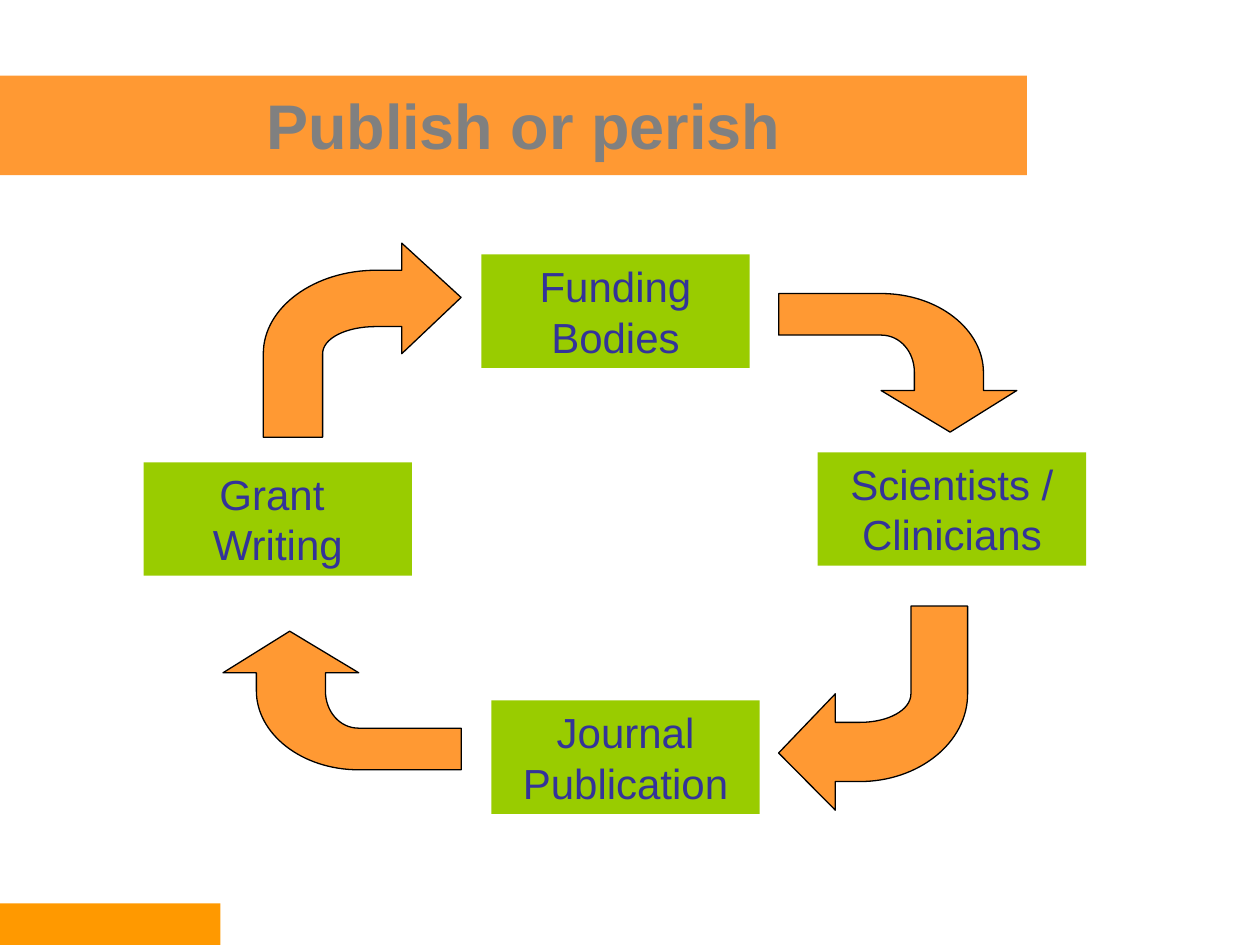
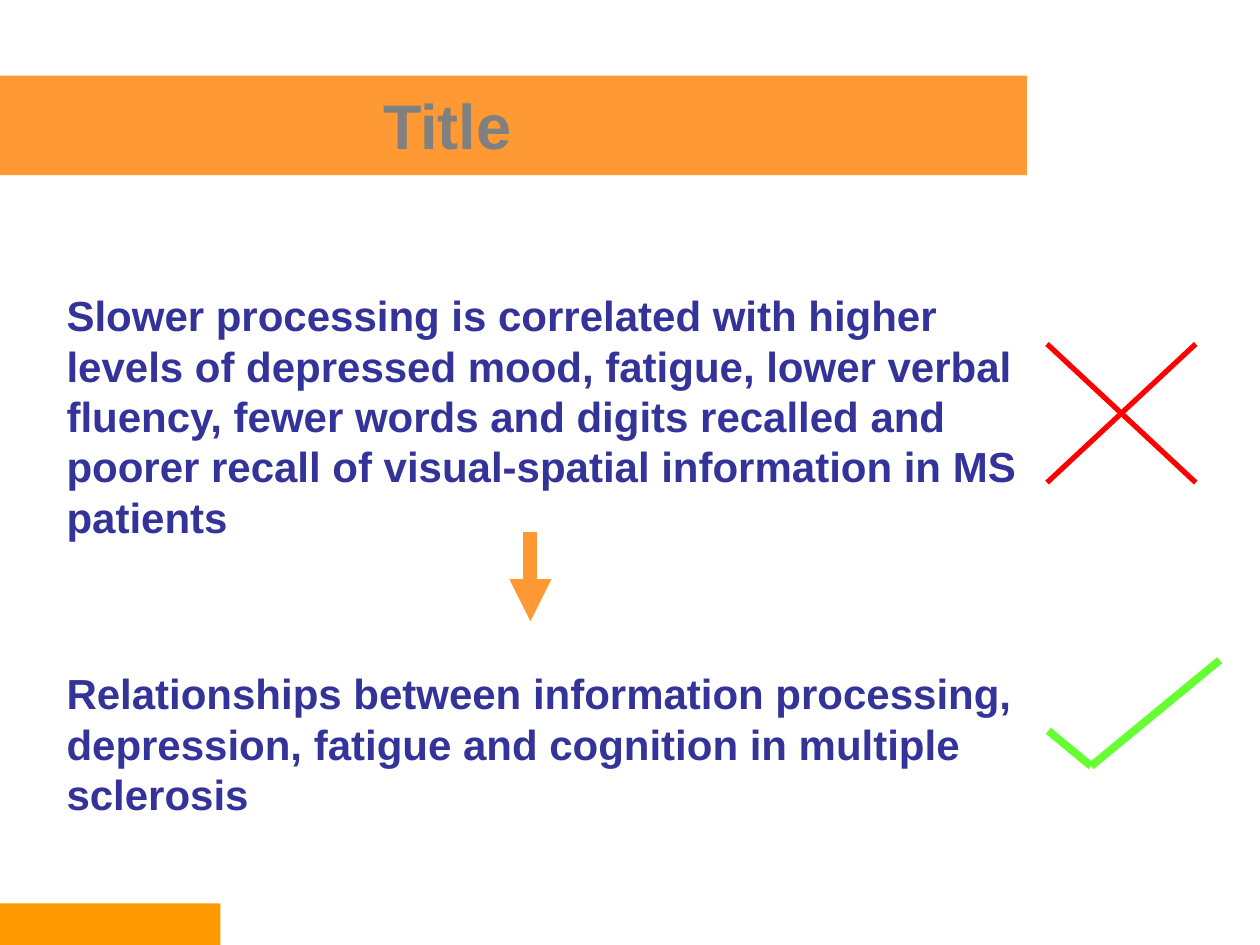
from lxml import etree
from pptx import Presentation
from pptx.dml.color import RGBColor
from pptx.enum.shapes import MSO_CONNECTOR, MSO_SHAPE
from pptx.enum.text import MSO_ANCHOR, PP_ALIGN
from pptx.oxml.ns import qn
from pptx.util import Inches, Pt

STRAIGHT = MSO_CONNECTOR.STRAIGHT
RECTANGLE = MSO_SHAPE.RECTANGLE
TOP, MIDDLE = MSO_ANCHOR.TOP, MSO_ANCHOR.MIDDLE
LEFT, CENTER = PP_ALIGN.LEFT, PP_ALIGN.CENTER

FONT = "Arial"
COLORS = {
    "band": "FF9933", "footer": "FF9900", "title": "808080", "text": "333399",
    "step": "99CC00", "outline": "000000", "cross": "FF0000", "tick": "66FF33",
}

STEP_SIZE = (2.13, 0.9)
STEPS = [
    ("Funding Bodies", 3.82, 2.02),
    ("Scientists / Clinicians", 6.49, 3.59),
    ("Grant \vWriting", 1.14, 3.67),
    ("Journal Publication", 3.9, 5.56),
]

CYCLE_ARROWS = [
    (6.18, 2.33, 1.89, 1.1, "down"),
    (1.77, 5.01, 1.89, 1.1, "up"),
    (6.18, 4.81, 1.5, 1.62, "left"),
    (2.09, 1.93, 1.57, 1.54, "right"),
]
HEAD = [(0.3, 0.57), (0, 0.28), (0.3, 0), (0.3, 0.14), (0.43, 0.14)]
OUTER_BEND = [(0.74, 0.14), (1, 0.33), (1, 0.57)]
TAIL = [(1, 1), (0.7, 1), (0.7, 0.57)]
INNER_BEND = [(0.7, 0.49), (0.58, 0.43), (0.43, 0.43)]
NECK = [(0.3, 0.43)]
BENT_OUTLINE = HEAD + OUTER_BEND + TAIL + INNER_BEND + NECK
BEND_STARTS = [BENT_OUTLINE.index(bend[0]) - 1 for bend in (OUTER_BEND, INNER_BEND)]
TURNS = {
    "left": lambda u, v: (u, 1 - v),
    "right": lambda u, v: (1 - u, v),
    "up": lambda u, v: (v, u),
    "down": lambda u, v: (1 - v, 1 - u),
}

STATEMENTS = [
    ("Relationships between information processing, depression, fatigue and "
     "cognition in multiple sclerosis",
     (0.43, 5.25, 8.74, 1.3)),
    ("Slower processing is correlated with higher levels of depressed mood, "
     "fatigue, lower verbal fluency, fewer words and digits recalled and "
     "poorer recall of visual-spatial information in MS patients",
     (0.43, 2.25, 7.95, 2.1)),
]

TICK = [((8.32, 5.8), (8.66, 6.08)), ((8.66, 6.08), (9.68, 5.24))]
CROSS = [((8.31, 2.73), (9.49, 3.83)), ((9.49, 2.73), (8.31, 3.83))]
MARKS = [(TICK, "tick", 4.5), (CROSS, "cross", 3)]
STEP_DOWN = ((4.21, 4.22), (4.21, 4.93), "band", 8)


def color(name):
    return RGBColor.from_string(COLORS[name])


def add_block(page, area, fill):
    block = page.shapes.add_shape(RECTANGLE, *map(Inches, area))
    block.shadow.inherit = False
    block.fill.solid()
    block.fill.fore_color.rgb = color(fill)
    block.line.fill.background()
    return block


def write(box, text, size, ink="text", bold=False, align=LEFT, anchor=TOP):
    frame = box.text_frame
    frame.word_wrap = True
    frame.vertical_anchor = anchor
    para = frame.paragraphs[0]
    para.text = text
    para.alignment = align
    for span in para.runs:
        span.font.name = FONT
        span.font.size = Pt(size)
        span.font.bold = bold
        span.font.color.rgb = color(ink)


def add_text(page, area, text, size, **style):
    write(page.shapes.add_textbox(*map(Inches, area)), text, size, **style)


def add_line(holder, start, end, ink, width):
    line = holder.shapes.add_connector(STRAIGHT, *map(Inches, start + end))
    line.line.color.rgb = color(ink)
    line.line.width = Pt(width)
    etree.SubElement(line._element.spPr, qn("a:effectLst"))
    return line


def curve_bends(arrow):
    segments = list(arrow._element.iter(qn("a:lnTo")))
    for start in BEND_STARTS:
        first, *others = segments[start:start + 3]
        curve = etree.Element(qn("a:cubicBezTo"))
        first.addprevious(curve)
        for segment in (first, *others):
            curve.append(segment[0])
            segment.getparent().remove(segment)


def add_bent_arrow(page, left, top, width, height, direction):
    placed = [TURNS[direction](u, v) for u, v in BENT_OUTLINE]
    points = [(Inches(left + x * width), Inches(top + y * height)) for x, y in placed]
    builder = page.shapes.build_freeform(*points[0])
    builder.add_line_segments(points[1:], close=True)
    arrow = builder.convert_to_shape()
    curve_bends(arrow)
    arrow.shadow.inherit = False
    arrow.fill.solid()
    arrow.fill.fore_color.rgb = color("band")
    arrow.line.color.rgb = color("outline")
    arrow.line.width = Pt(0.75)


def add_page(deck, title, title_width):
    page = deck.slides.add_slide(deck.slide_layouts[6])
    add_block(page, (0, 7.17, 1.75, 0.33), "footer")
    add_block(page, (0, 0.6, 8.15, 0.79), "band")
    add_text(page, (0.67, 0.36, title_width, 1.25), title, 36,
             ink="title", bold=True, align=CENTER, anchor=MIDDLE)
    return page


def build_cycle(deck):
    page = add_page(deck, "Publish or perish", 6.97)
    for label, left, top in STEPS:
        step = add_block(page, (left, top, *STEP_SIZE), "step")
        write(step, label, 24, align=CENTER)
    for placement in CYCLE_ARROWS:
        add_bent_arrow(page, *placement)


def build_titles(deck):
    page = add_page(deck, "Title", 5.76)
    for text, area in STATEMENTS:
        add_text(page, area, text, 24, bold=True)
    for strokes, ink, width in MARKS:
        mark = page.shapes.add_group_shape()
        for start, end in strokes:
            add_line(mark, start, end, ink, width)
    arrow = add_line(page, *STEP_DOWN)
    outline = arrow._element.spPr.find(qn("a:ln"))
    etree.SubElement(outline, qn("a:tailEnd"), type="triangle")


def main():
    deck = Presentation()
    deck.slide_width, deck.slide_height = Inches(10), Inches(7.5)
    build_cycle(deck)
    build_titles(deck)
    deck.save("out.pptx")


if __name__ == "__main__":
    main()
